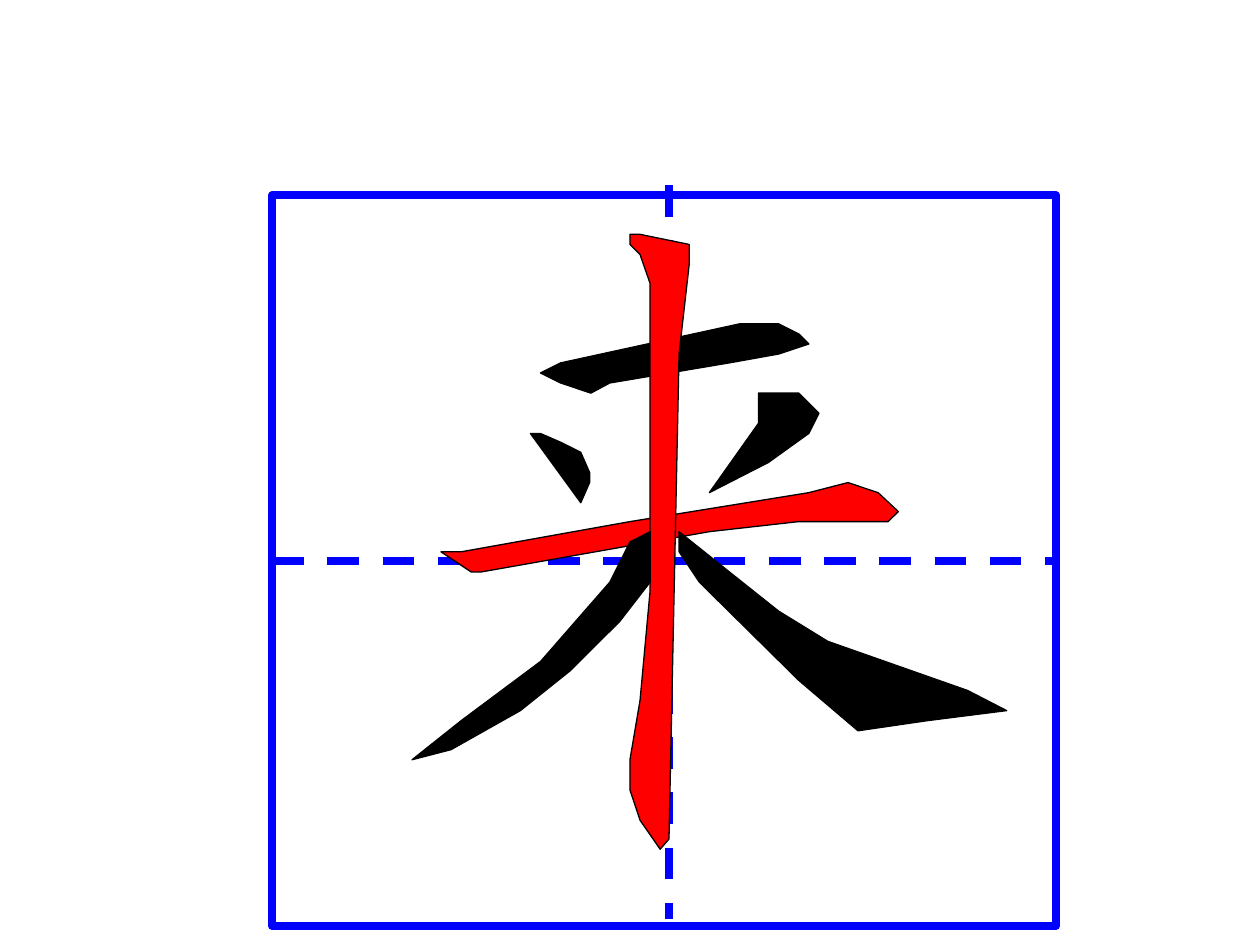
from pptx import Presentation
from pptx import util as u
from pptx.dml.color import RGBColor
from pptx.enum import dml, shapes
from pptx.oxml.ns import qn
from lxml import etree

BLACK = RGBColor(0x00, 0x00, 0x00)
RED = RGBColor(0xFF, 0x00, 0x00)
BLUE = RGBColor(0x00, 0x00, 0xFF)

# Strokes of the character, back to front: colour and outline in inches
STROKES = [
    # upper horizontal
    (BLACK, [(4.29, 2.96), (4.45, 3.04), (4.69, 3.12), (4.84, 3.04),
             (5.79, 2.88), (6.18, 2.81), (6.42, 2.73), (6.34, 2.65),
             (6.18, 2.57), (5.87, 2.57), (4.45, 2.88)]),
    # left dot
    (BLACK, [(4.21, 3.44), (4.29, 3.44), (4.45, 3.51), (4.61, 3.59),
             (4.68, 3.75), (4.68, 3.83), (4.61, 3.99)]),
    # right dot
    (BLACK, [(6.02, 3.12), (6.02, 3.36), (5.63, 3.91), (6.1, 3.67),
             (6.42, 3.44), (6.5, 3.28), (6.34, 3.12)]),
    # long horizontal
    (RED, [(3.5, 4.38), (3.74, 4.54), (3.82, 4.54), (5.63, 4.22),
           (6.34, 4.14), (7.05, 4.14), (7.13, 4.06), (6.97, 3.91),
           (6.73, 3.83), (6.42, 3.91), (5, 4.14), (3.66, 4.38)]),
    # vertical
    (RED, [(5, 1.86), (5.08, 1.86), (5.47, 1.94), (5.47, 2.1),
           (5.39, 2.81), (5.31, 6.66), (5.24, 6.74), (5.08, 6.51),
           (5, 6.27), (5, 6.03), (5.08, 5.56), (5.16, 4.69),
           (5.16, 2.25), (5.08, 2.02), (5, 1.94)]),
    # left-falling
    (BLACK, [(5, 4.3), (4.84, 4.62), (4.29, 5.25), (3.66, 5.72),
             (3.27, 6.03), (3.58, 5.95), (4.13, 5.64), (4.53, 5.32),
             (4.92, 4.93), (5.16, 4.62), (5.16, 4.22)]),
    # right-falling
    (BLACK, [(5.39, 4.22), (5.79, 4.54), (6.18, 4.85), (6.57, 5.09),
             (7.68, 5.48), (7.99, 5.64), (7.36, 5.72), (6.81, 5.8),
             (6.34, 5.4), (5.55, 4.62), (5.39, 4.38)]),
]


class Sheet:
    """Current slide and the style of its elements."""
    THIN = u.Pt(0.75)
    THICK = u.Pt(4.5)

    def __init__(self, slide):
        self.slide = slide

    def frame(self, parent, x, y, w, h):
        sp = parent.add_shape(shapes.MSO_SHAPE.RECTANGLE, u.Inches(x),
                              u.Inches(y), u.Inches(w), u.Inches(h))
        sp.shadow.inherit = False
        sp.fill.background()
        sp.line.color.rgb = BLUE
        sp.line.width = self.THICK
        return sp

    def line(self, parent, start, end, color=BLUE, width=THICK, dashed=True):
        cxn = parent.add_connector(shapes.MSO_CONNECTOR.STRAIGHT,
                                   *map(u.Inches, start + end))
        cxn.line.color.rgb = color
        cxn.line.width = width
        if dashed:
            cxn.line.dash_style = dml.MSO_LINE.DASH
        etree.SubElement(cxn._element.spPr, qn("a:effectLst"))
        return cxn

    def stroke(self, color, points):
        pts = [(u.Inches(x), u.Inches(y)) for x, y in points]
        builder = self.slide.shapes.build_freeform(*pts[0])
        builder.add_line_segments(pts[1:], close=True)
        sp = builder.convert_to_shape()
        sp.shadow.inherit = False
        sp.fill.solid()
        sp.fill.fore_color.rgb = color
        sp.line.color.rgb = BLACK
        sp.line.width = self.THIN


def main():
    prs = Presentation()
    prs.slide_width, prs.slide_height = u.Inches(10), u.Inches(7.5)
    s = prs.slides.add_slide(prs.slide_layouts[6])
    sheet = Sheet(s)

    # Point left of the grid
    sheet.line(s.shapes, (1.85, 4.46), (1.85, 4.46), BLACK, Sheet.THIN, False)

    # Writing grid: frame with its horizontal guide, then the vertical guide
    grid = s.shapes.add_group_shape().shapes
    frame = sheet.frame(grid, 2.16, 1.55, 6.22, 5.8)
    guide = sheet.line(grid, (2.16, 4.45), (8.38, 4.45))
    guide.begin_connect(frame, 1)
    guide.end_connect(frame, 3)
    sheet.line(s.shapes, (5.31, 1.47), (5.31, 7.29))

    # Character strokes
    for color, points in STROKES:
        sheet.stroke(color, points)

    prs.save("out.pptx")


if __name__ == "__main__":
    main()
